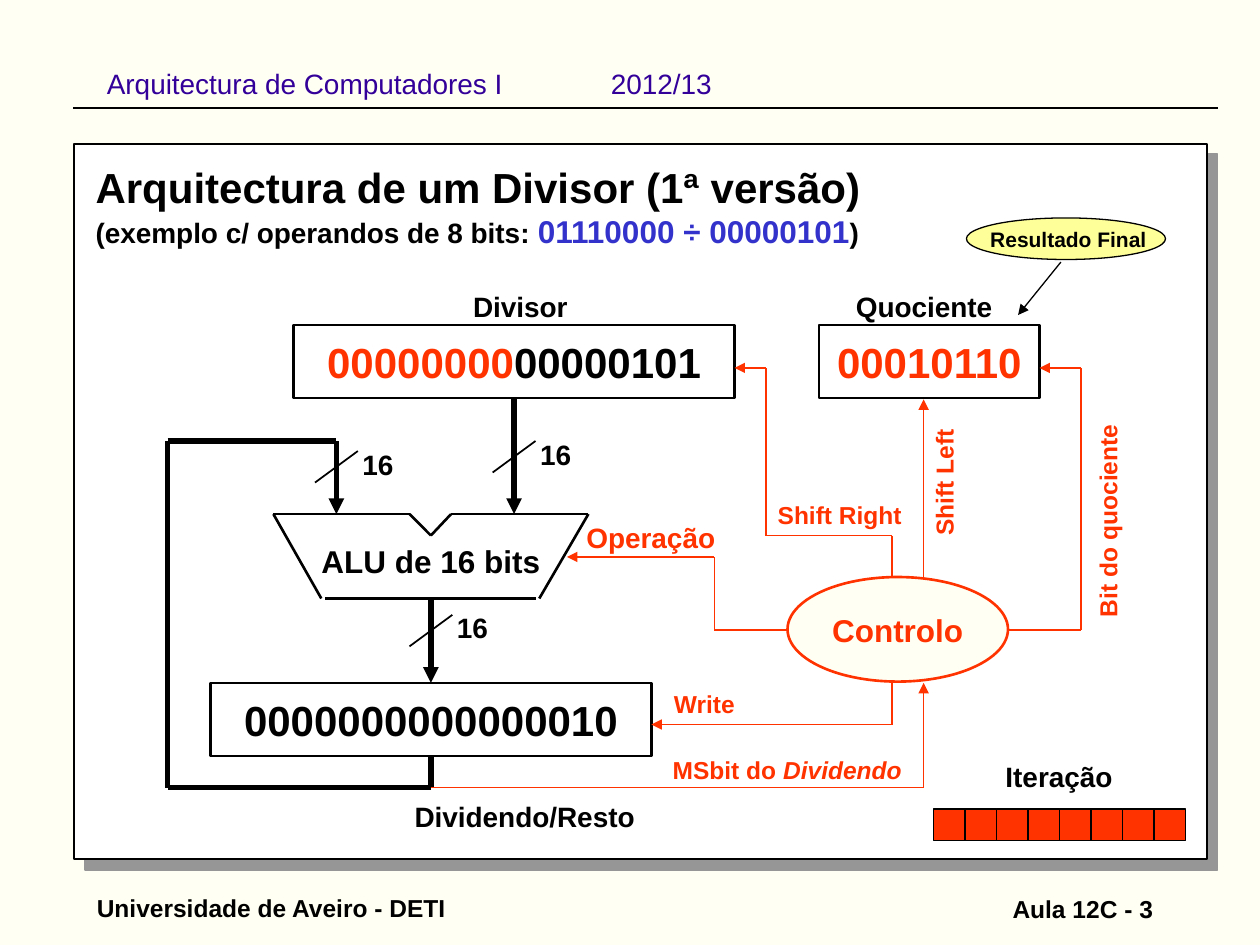
from dataclasses import dataclass
from itertools import pairwise

from lxml.etree import SubElement as Sub
from pptx import Presentation
from pptx.dml.color import RGBColor as RGB
from pptx.enum.shapes import MSO_CONNECTOR as Conn, MSO_SHAPE as Kind
from pptx.enum.text import MSO_ANCHOR as Anchor, PP_ALIGN as Align
from pptx.oxml.ns import qn
from pptx.util import Inches, Pt


@dataclass(frozen=True)
class Theme:
    font: str = "Arial"
    page: str = "FFFFF4"
    white: str = "FFFFFF"
    black: str = "000000"
    red: str = "FF3300"
    blue: str = "3333CC"
    violet: str = "330099"
    yellow: str = "FFFF99"
    gray: str = "969696"
    big: int = 24
    mid: int = 18
    body: int = 16
    small: int = 14
    tiny: int = 12


T = Theme()


def style(font, size=None, color=None, bold=None, italic=None):
    if size:
        font.size = Pt(size)
    if color:
        font.color.rgb = RGB.from_string(color)
    if bold is not None:
        font.bold = bold
    if italic is not None:
        font.italic = italic


def write(frame, parts, size, color, align, bold=True):
    """Fill one paragraph; a part is a string or (string, style changes)."""
    para = frame.paragraphs[0]
    para.alignment = align
    para.font.name = T.font
    style(para.font, size, color, bold)
    for part in [parts] if isinstance(parts, str) else parts:
        words, changes = (part, {}) if isinstance(part, str) else part
        run = para.add_run()
        run.text = words.rstrip("\n")
        style(run.font, **changes)
        if words.endswith("\n"):
            para.add_line_break()
    return para


def label(slide, at, parts, size=T.body, color=T.black, align=Align.CENTER,
          bold=True, turn=0, anchor=Anchor.TOP):
    box = slide.shapes.add_textbox(*map(Inches, at))
    box.rotation = turn
    frame = box.text_frame
    frame.word_wrap = True
    frame.vertical_anchor = anchor
    if anchor == Anchor.BOTTOM:
        frame.margin_bottom = 0
    return write(frame, parts, size, color, align, bold)


def block(slide, kind, at, fill, line=T.black, width=1.5):
    shape = slide.shapes.add_shape(kind, *map(Inches, at))
    shape.shadow.inherit = False
    shape.fill.solid()
    shape.fill.fore_color.rgb = RGB.from_string(fill)
    shape.line.color.rgb = RGB.from_string(line)
    shape.line.width = Pt(width)
    return shape


def register(slide, at, parts, color=T.black):
    shape = block(slide, Kind.RECTANGLE, at, T.white)
    frame = shape.text_frame
    frame.word_wrap = False
    frame.vertical_anchor = Anchor.MIDDLE
    write(frame, parts, T.big, color, Align.CENTER)
    return shape


def wire(slide, points, color=T.red, width=1.0, arrow=False, start=None, end=None):
    """Draw straight legs; start and end are (shape, side) to join."""
    legs = []
    for a, b in pairwise(points):
        leg = slide.shapes.add_connector(Conn.STRAIGHT, *map(Inches, a + b))
        leg.line.color.rgb = RGB.from_string(color)
        leg.line.width = Pt(width)
        Sub(leg.element.spPr, qn("a:effectLst"))
        legs.append(leg)
    if start:
        legs[0].begin_connect(*start)
    if end:
        legs[-1].end_connect(*end)
    if arrow:
        Sub(legs[-1].line._get_or_add_ln(), qn("a:tailEnd"), type="triangle")


def width_mark(slide, x, y):
    wire(slide, [(x - 0.17, y + 0.13), (x + 0.17, y - 0.12)], T.black)
    label(slide, (x + 0.08, y - 0.2, 0.5, 0.37), "16")


def frame_page(slide):
    slide.background.fill.solid()
    slide.background.fill.fore_color.rgb = RGB.from_string(T.page)
    # Panel with its hard shadow
    panel = block(slide, Kind.RECTANGLE, (0.59, 1.14, 8.99, 5.68), T.white, width=1)
    effects = panel.element.spPr.find(qn("a:effectLst"))
    shade = Sub(effects, qn("a:outerShdw"), dist=str(Pt(8.5)), dir="2700000",
                algn="ctr", rotWithShape="0")
    Sub(shade, qn("a:srgbClr"), val=T.gray)
    # Header and footer
    head = label(slide, (0.75, 0.25, 8.5, 0.83),
                 "Arquitectura de Computadores I\t2012/13", T.body, T.violet,
                 Align.LEFT, bold=False, anchor=Anchor.MIDDLE)
    tabs = head._p.get_or_add_pPr()
    stops = tabs.makeelement(qn("a:tabLst"))
    tabs.insert(0, stops)
    Sub(stops, qn("a:tab"), pos=str(Inches(4)), algn="l")
    wire(slide, [(0.58, 0.86), (9.67, 0.86)], T.black)
    label(slide, (0.67, 6.82, 3.36, 0.5), "Universidade de Aveiro - DETI",
          T.small, align=Align.LEFT, anchor=Anchor.BOTTOM)
    label(slide, (7.17, 6.83, 2.08, 0.5), "Aula 12C - 3",
          T.small, align=Align.RIGHT, anchor=Anchor.BOTTOM)
    # Title
    label(slide, (0.66, 1.23, 8.92, 0.8), [
        ("Arquitectura de um Divisor (1ª versão)\n", {"size": T.big}),
        "(exemplo c/ operandos de 8 bits: ",
        ("01110000 ÷ 00000101", {"size": T.mid, "color": T.blue}),
        ")"], align=Align.LEFT)


def data_side(slide):
    # Registers
    divisor = register(slide, (2.33, 2.58, 3.5, 0.58),
                       [("00000000", {"color": T.red}), "00000101"])
    register(slide, (6.5, 2.58, 1.75, 0.58), "00010110", T.red)
    rest = register(slide, (1.67, 5.42, 3.5, 0.58), "0000000000000010")
    label(slide, (2.92, 2.25, 2.42, 0.37), "Divisor")
    label(slide, (6.5, 2.25, 1.67, 0.37), "Quociente")
    label(slide, (3.08, 6.3, 2.17, 0.37), "Dividendo/Resto")
    # Data buses
    wire(slide, [(4.08, 3.16), (4.08, 4.08)], T.black, 3, True, start=(divisor, 2))
    wire(slide, [(3.42, 4.75), (3.42, 5.42)], T.black, 3, True, end=(rest, 0))
    wire(slide, [(3.42, 6), (3.42, 6.25), (1.33, 6.25), (1.33, 3.5),
                 (2.67, 3.5), (2.67, 4.08)], T.black, 3, True, start=(rest, 2))
    for x, y in [(4.08, 3.62), (2.67, 3.7), (3.42, 5)]:
        width_mark(slide, x, y)
    # ALU
    wire(slide, [(2.55, 4.75), (2.17, 4.08), (3.25, 4.08), (3.42, 4.25),
                 (3.58, 4.08), (4.67, 4.08), (4.28, 4.75)], T.black, 1.5)
    wire(slide, [(2.58, 4.75), (4.25, 4.75)], T.black, 1.5)
    label(slide, (2.42, 4.25, 2, 0.4), "ALU de 16 bits", T.mid)


def control_side(slide):
    block(slide, Kind.OVAL, (6.25, 4.58, 1.75, 0.83), T.page, T.red)
    label(slide, (6.29, 4.8, 1.67, 0.4), "Controlo", T.mid, T.red)
    # Control signals
    for points, width in [
        ([(7.08, 4.58), (7.08, 4.25), (6.08, 4.25), (6.08, 2.92), (5.83, 2.92)], 1),
        ([(6.25, 5), (5.67, 5), (5.67, 4.42), (4.5, 4.42)], 1),
        ([(8, 5), (8.58, 5), (8.58, 2.92), (8.25, 2.92)], 1),
        ([(7.08, 5.42), (7.08, 5.75), (5.17, 5.75)], 1),
        ([(7.33, 4.58), (7.33, 3.17)], 0.75),
        ([(3.42, 6.25), (7.33, 6.25), (7.33, 5.42)], 0.75),
    ]:
        wire(slide, points, width=width, arrow=True)
    # Signal names
    label(slide, (4.5, 4.08, 1.33, 0.37), "Operação", color=T.red)
    for at, parts, align, turn in [
        ((5.25, 5.42, 0.75, 0.34), "Write", Align.LEFT, 0),
        ((6, 3.92, 1.33, 0.34), "Shift Right", Align.CENTER, 0),
        ((6.83, 3.66, 1.33, 0.34), "Shift Left", Align.CENTER, 270),
        ((7.78, 3.81, 2.03, 0.34), "Bit do quociente", Align.LEFT, 270),
        ((5.24, 5.94, 2.03, 0.34),
         ["MSbit do ", ("Dividendo", {"italic": True})], Align.LEFT, 0),
    ]:
        label(slide, at, parts, T.small, T.red, align, turn=turn)


def progress(slide):
    # Iteration counter
    label(slide, (7.49, 5.98, 1.83, 0.37), "Iteração")
    side = 0.25
    for i in range(8):
        block(slide, Kind.RECTANGLE, (7.41 + i * side, 6.42, side, side), T.red, width=0.75)
    # Final result callout
    wire(slide, [(8.42, 2.08), (8.08, 2.5)], T.black, 0.75, True)
    block(slide, Kind.OVAL, (7.67, 1.73, 1.58, 0.33), T.yellow, width=0.75)
    label(slide, (7.75, 1.75, 1.46, 0.3), "Resultado Final", T.tiny)


def main():
    deck = Presentation()
    deck.slide_width, deck.slide_height = Inches(10), Inches(7.5)
    slide = deck.slides.add_slide(deck.slide_layouts[6])
    for part in (frame_page, data_side, control_side, progress):
        part(slide)
    deck.save("out.pptx")


if __name__ == "__main__":
    main()
